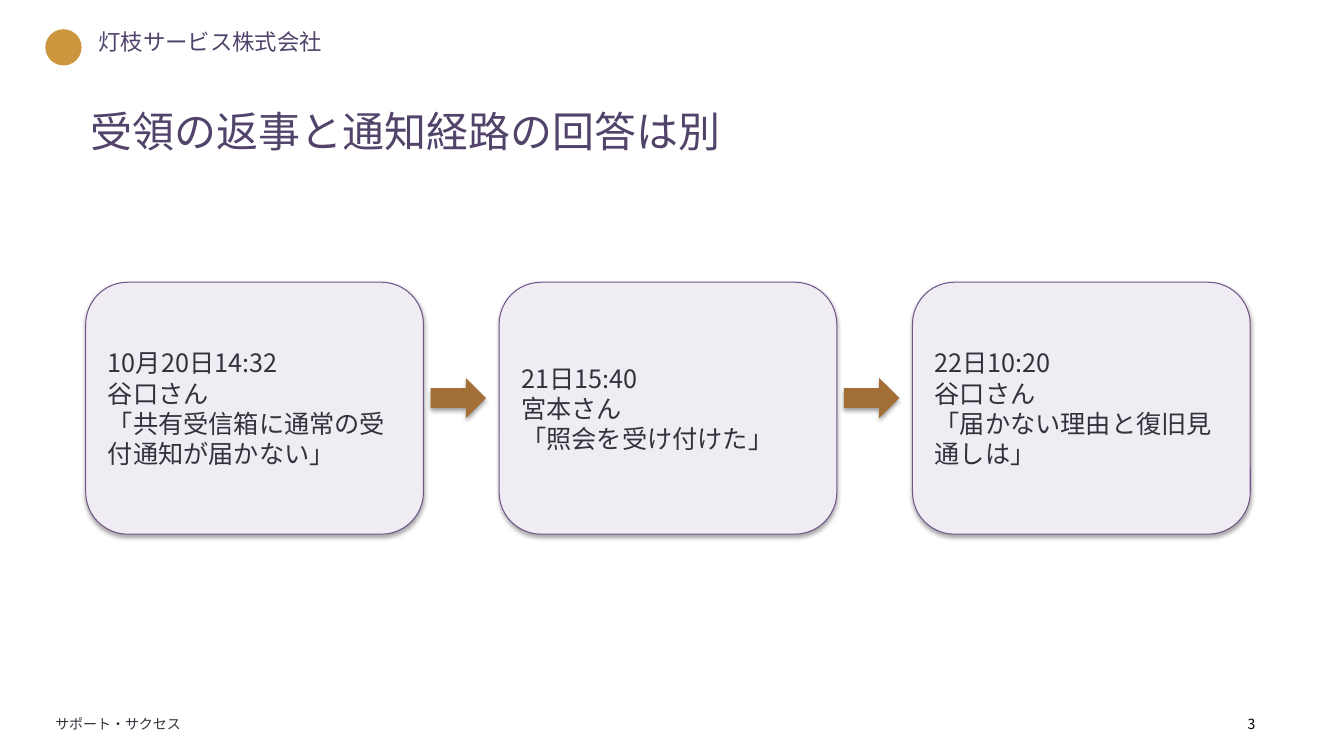
from pptx import Presentation
from pptx import util as u
from pptx.dml.color import RGBColor
from pptx.enum import shapes, text
from pptx.oxml import ns
from lxml import etree

FONT = "Noto Sans CJK JP"
PURPLE = RGBColor(0x51, 0x43, 0x69)
OUTLINE = RGBColor(0x71, 0x56, 0x8A)
LAVENDER = RGBColor(0xF0, 0xEC, 0xF4)
BROWN = RGBColor(0xA2, 0x6F, 0x36)
GOLD = RGBColor(0xCC, 0x96, 0x3F)
INK = RGBColor(0x33, 0x31, 0x3A)
BLACK = RGBColor(0, 0, 0)

MESSAGES = [
    ["10月20日14:32", "谷口さん", "「共有受信箱に通常の受付通知が届かない」"],
    ["21日15:40", "宮本さん", "「照会を受け付けた」"],
    ["22日10:20", "谷口さん", "「届かない理由と復旧見通しは」"],
]
CARD_LEFT, CARD_TOP, CARD_WIDTH, CARD_HEIGHT = 0.85, 2.8, 3.35, 2.5
CARD_STEP = 4.1
ARROW_WIDTH, ARROW_HEIGHT, ARROW_GAP = 0.55, 0.4, 0.07


def inches(*values):
    return [u.Inches(value) for value in values]


def write(frame, lines, size, color, align=text.PP_ALIGN.LEFT,
          anchor=text.MSO_ANCHOR.TOP, wrap=True):
    frame.word_wrap = wrap
    frame.vertical_anchor = anchor
    for index, line in enumerate(lines):
        paragraph = frame.paragraphs[0] if index == 0 else frame.add_paragraph()
        paragraph.alignment = align
        run = paragraph.add_run()
        run.text = line
        for name, value in {"name": FONT, "size": u.Pt(size)}.items():
            setattr(run.font, name, value)
        run.font.color.rgb = color
        # East Asian typeface
        east_asian = etree.SubElement(run.font._element, ns.qn("a:ea"))
        east_asian.set("typeface", FONT)


def add_label(slide, box, line, size, color, **layout):
    label = slide.shapes.add_textbox(*inches(*box))
    write(label.text_frame, [line], size, color, **layout)


def add_filled(slide, kind, box, fill):
    shape = slide.shapes.add_shape(kind, *inches(*box))
    shape.fill.solid()
    shape.fill.fore_color.rgb = fill
    shape.line.fill.background()
    return shape


def add_card(slide, left, lines):
    card = add_filled(slide, shapes.MSO_SHAPE.ROUNDED_RECTANGLE,
                      (left, CARD_TOP, CARD_WIDTH, CARD_HEIGHT), LAVENDER)
    card.line.color.rgb = OUTLINE
    card.line.width = u.Pt(0.75)
    write(card.text_frame, lines, 18, INK, anchor=text.MSO_ANCHOR.MIDDLE)


def add_title(slide, line):
    title = slide.shapes.title
    box = dict(zip(("left", "top", "width", "height"), inches(0.8, 1, 11.7, 0.8)))
    for name, value in box.items():
        setattr(title, name, value)
    write(title.text_frame, [line], 30, PURPLE)


def main():
    presentation = Presentation()
    presentation.slide_width, presentation.slide_height = inches(13.33, 7.5)
    slide = presentation.slides.add_slide(presentation.slide_layouts[5])

    # Header with a plain emblem
    emblem = add_filled(slide, shapes.MSO_SHAPE.OVAL, (0.45, 0.29, 0.36, 0.36), GOLD)
    emblem.shadow.inherit = False
    add_label(slide, (0.88, 0.23, 2.9, 0.45), "灯枝サービス株式会社", 16, PURPLE, wrap=False)
    add_title(slide, "受領の返事と通知経路の回答は別")

    # Message cards, with an arrow after each but the last
    for index, lines in enumerate(MESSAGES):
        left = CARD_LEFT + index * CARD_STEP
        add_card(slide, left, lines)
        if index < len(MESSAGES) - 1:
            arrow_left = left + CARD_WIDTH + ARROW_GAP
            add_filled(slide, shapes.MSO_SHAPE.RIGHT_ARROW,
                       (arrow_left, 3.75, ARROW_WIDTH, ARROW_HEIGHT), BROWN)

    # Footer
    add_label(slide, (0.45, 7.05, 2.1, 0.25), "サポート・サクセス", 10, INK, wrap=False)
    add_label(slide, (12.1, 7.05, 0.45, 0.25), "3", 10, BLACK, align=text.PP_ALIGN.RIGHT)

    presentation.save("out.pptx")


if __name__ == "__main__":
    main()
